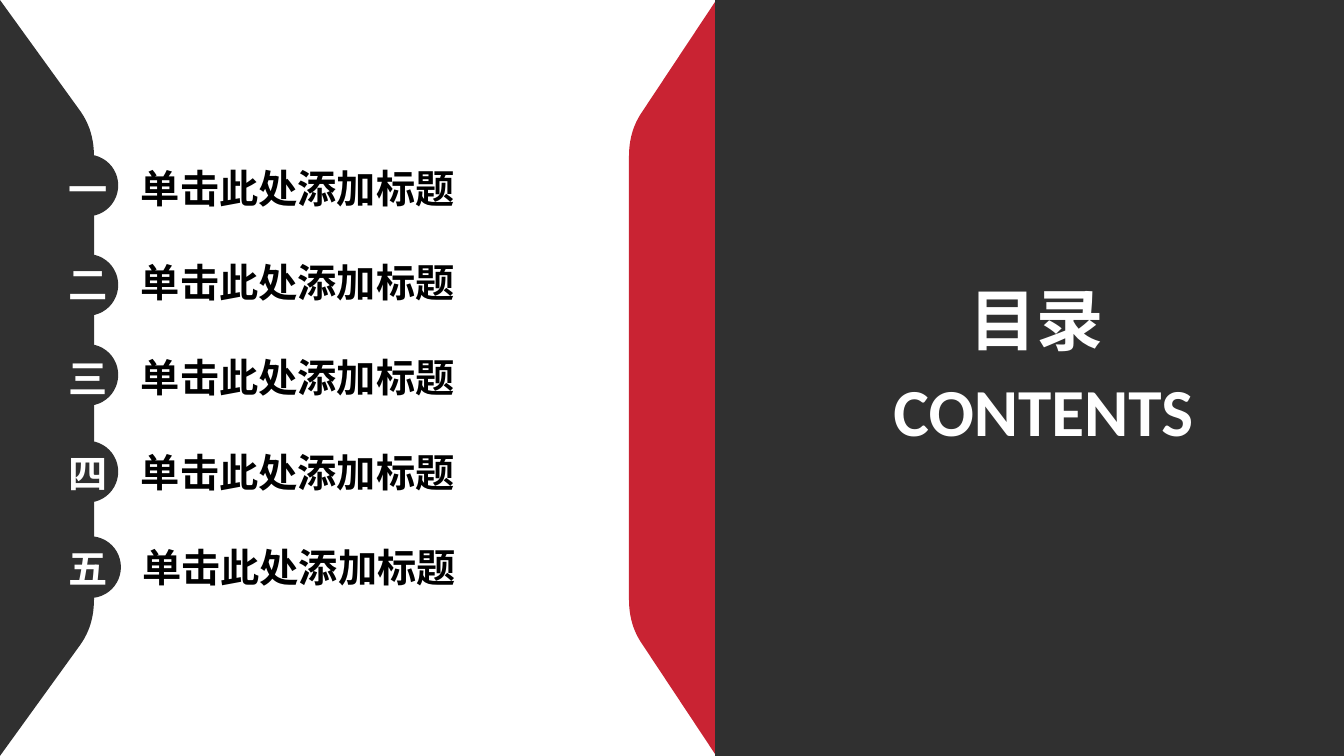
from pptx import Presentation
from pptx.dml.color import RGBColor
from pptx.enum.shapes import MSO_SHAPE
from pptx.enum.text import MSO_ANCHOR, MSO_AUTO_SIZE, PP_ALIGN
from pptx.oxml.ns import qn
from pptx.util import Inches, Pt

DARK = RGBColor(0x30, 0x30, 0x30)
RED = RGBColor(0xC9, 0x23, 0x33)
WHITE = RGBColor(0xFF, 0xFF, 0xFF)
BLACK = RGBColor(0, 0, 0)
CJK, LATIN = "Noto Sans CJK SC", "Calibri"
SLIDE_W = 10
SLIDE_H = SLIDE_W * 9 / 16

HEADING = {"size": Pt(36), "bold": True, "name": CJK}
ITEM = {"size": Pt(21), "bold": True, "name": CJK}

# Number, badge top, horizontal nudge of the badge, entry text
ENTRIES = [
    ("一", 1.15, 0, "单击此处添加标题"),
    ("二", 1.89, 0, "单击此处添加标题"),
    ("三", 2.56, 0, "单击此处添加标题"),
    ("四", 3.28, 0, "单击此处添加标题"),
    ("五", 3.99, 0.02, "单击此处添加标题"),
]


def paint(sp, color):
    sp.shadow.inherit = False
    sp.fill.solid()
    sp.fill.fore_color.rgb = color
    sp.line.fill.background()


def write(sp, text, style, color):
    tf = sp.text_frame
    frame = {"word_wrap": False, "auto_size": MSO_AUTO_SIZE.SHAPE_TO_FIT_TEXT,
             "vertical_anchor": MSO_ANCHOR.TOP,
             "margin_left": Inches(0.1), "margin_right": Inches(0.1),
             "margin_top": Inches(0.05), "margin_bottom": Inches(0.05)}
    for key, value in frame.items():
        setattr(tf, key, value)
    p = tf.paragraphs[0]
    p.alignment = PP_ALIGN.LEFT
    p.line_spacing = 1.0
    p.space_before = Pt(0)
    r = p.add_run()
    r.text = text
    for key, value in style.items():
        setattr(r.font, key, value)
    r.font.color.rgb = color
    # East Asian glyphs take their font from a:ea
    ea = r.font._element.makeelement(qn("a:ea"), {"typeface": style["name"]})
    r.font._element.find(qn("a:latin")).addnext(ea)


def add_text(shapes, box, text, style, color):
    write(shapes.add_textbox(*map(Inches, box)), text, style, color)


def add_flap(s, edge, reach, height, color):
    """Flap from a vertical edge; the sign of reach gives its direction."""
    side = 1 if reach > 0 else -1
    # Control points of the rounded corner: distance from the tip, height
    corner = [(0.1, 0.83), (0.03, 0.93), (0, 1.04), (0, 1.17)]
    upper = []
    for i in range(13):
        t = i / 12
        weights = ((1 - t) ** 3, 3 * t * (1 - t) ** 2, 3 * t * t * (1 - t), t ** 3)
        inset, y = (sum(w * c for w, c in zip(weights, axis))
                    for axis in zip(*corner))
        upper.append((edge + reach - side * inset, y))
    lower = [(x, height - y) for x, y in reversed(upper)]
    points = [(Inches(x), Inches(y)) for x, y in upper + lower + [(edge, height)]]
    fb = s.shapes.build_freeform(Inches(edge), 0)
    fb.add_line_segments(points, close=True)
    paint(fb.convert_to_shape(), color)


def add_contents_panel(s, x, y, w, h):
    panel = s.shapes.add_shape(MSO_SHAPE.RECTANGLE, *map(Inches, (x, y, w, h)))
    paint(panel, DARK)
    # Title goes above the panel
    title = s.shapes.title
    box = {"left": x + 1.79, "top": y + 2.02, "width": 1.21, "height": 0.71}
    for key, value in box.items():
        setattr(title, key, Inches(value))
    write(title, "目录", HEADING, WHITE)
    panel._element.addnext(title._element)
    add_text(s.shapes, (x + 1.23, y + 2.7, 2.46, 0.71), "CONTENTS",
             {**HEADING, "name": LATIN}, WHITE)


def add_entries(s, x, y, h):
    pitch = h / (len(ENTRIES) - 1)
    for i, (number, badge_top, nudge, text) in enumerate(ENTRIES):
        top = y + i * pitch
        # Numbered badge
        badge = s.shapes.add_group_shape()
        circle = badge.shapes.add_shape(
            MSO_SHAPE.OVAL, *map(Inches, (x + 0.01 + nudge, badge_top, 0.46, 0.46)))
        paint(circle, DARK)
        add_text(badge.shapes, (x, top + 0.01, 0.5, 0.45), number, ITEM, WHITE)
        # Entry text
        add_text(s.shapes, (x + 0.54 + nudge / 2, top, 2.56, 0.45), text, ITEM, BLACK)


def main():
    prs = Presentation()
    prs.slide_width, prs.slide_height = Inches(SLIDE_W), Inches(SLIDE_H)
    s = prs.slides.add_slide(prs.slide_layouts[5])
    add_flap(s, 5.33, -0.65, SLIDE_H, RED)
    add_contents_panel(s, 5.32, 0, 4.68, SLIDE_H)
    add_flap(s, 0, 0.7, SLIDE_H, DARK)
    add_entries(s, 0.41, 1.17, 2.82)
    prs.save("out.pptx")


if __name__ == "__main__":
    main()
